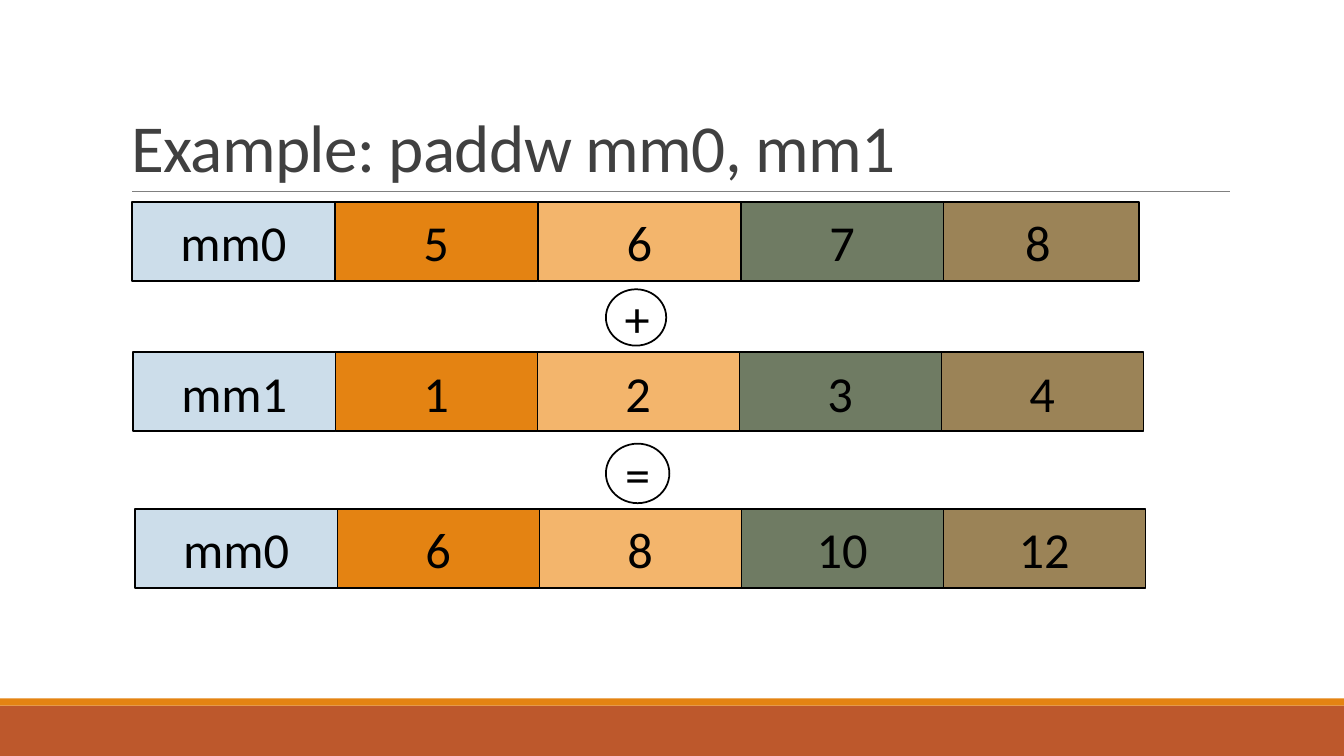
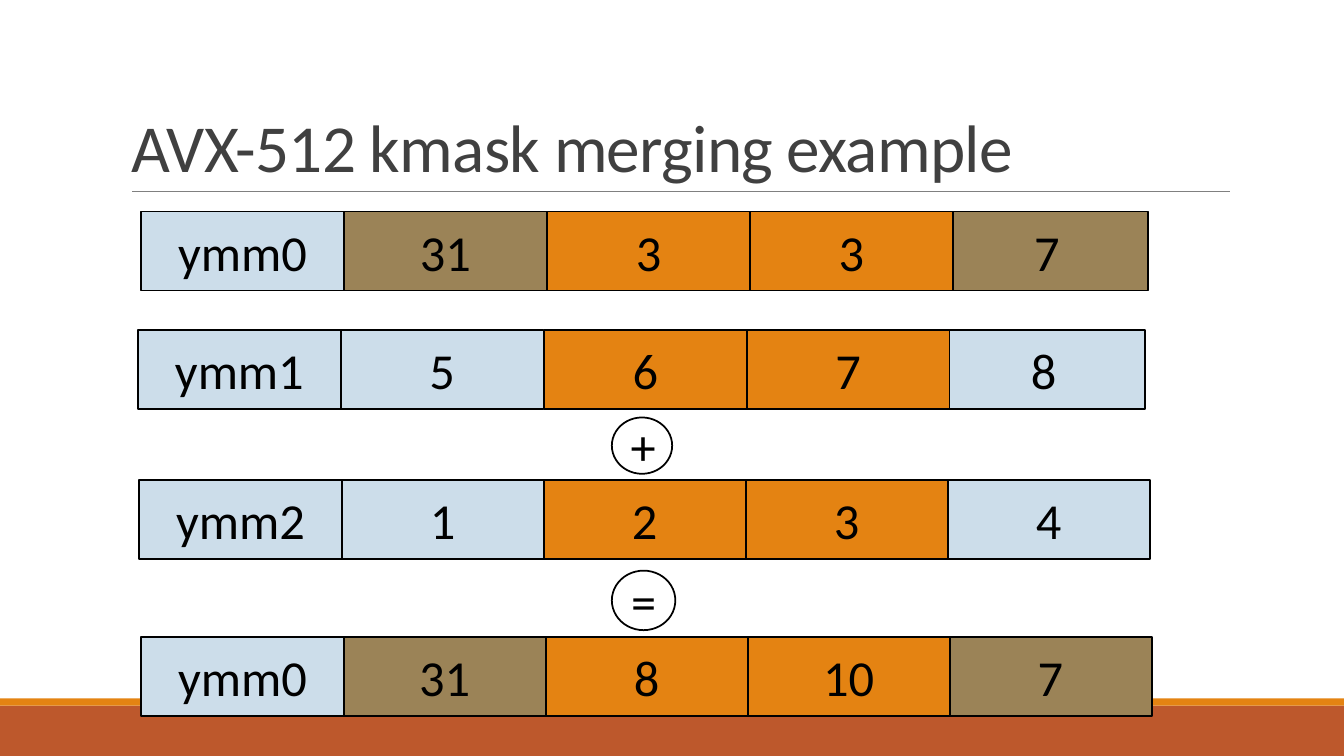
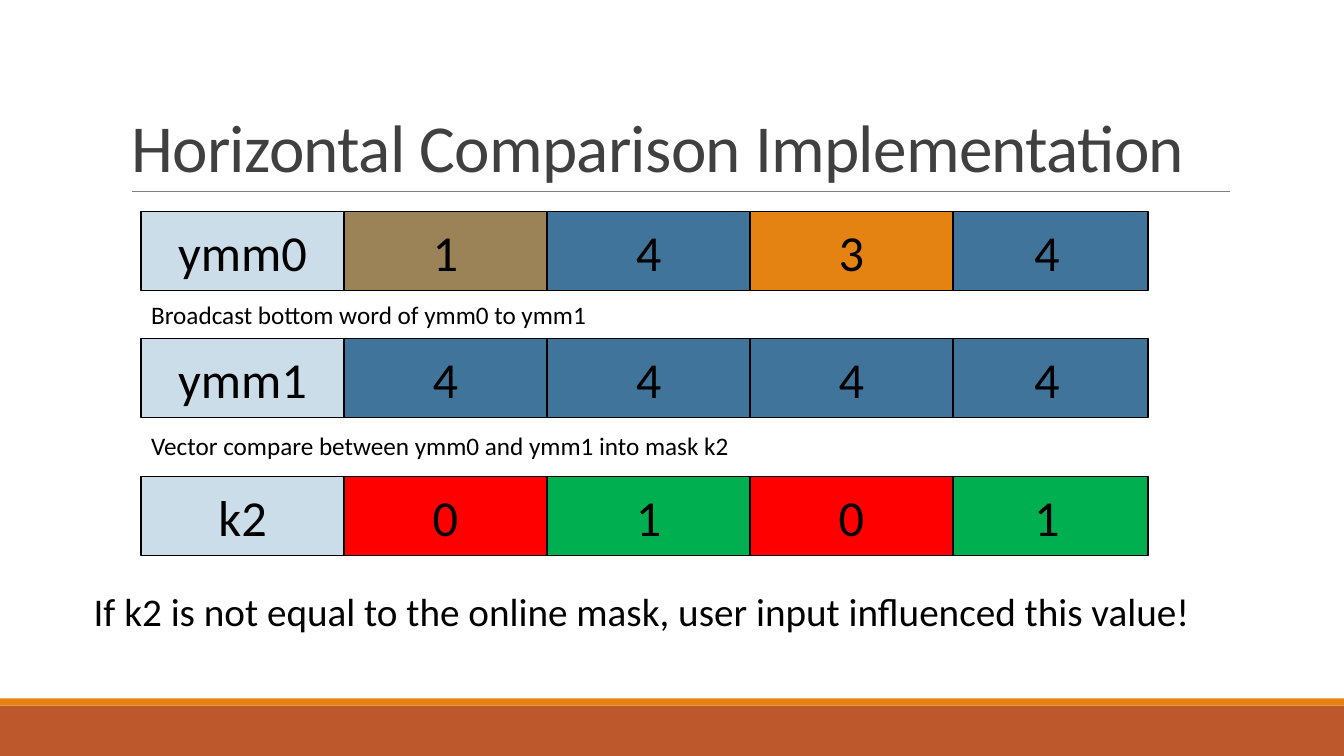
"""Build three slides that show packed register arithmetic as rows of coloured cells."""
from dataclasses import dataclass

from lxml import etree
from pptx import Presentation
from pptx import util as u
from pptx.dml.color import RGBColor
from pptx.enum import shapes, text
from pptx.oxml import ns


@dataclass(frozen=True)
class Theme:
    font: str = "Calibri"
    ink: str = "000000"
    title_ink: str = "404040"
    rule: str = "808080"
    rust: str = "BD582C"
    orange: str = "E48312"
    peach: str = "F3B56C"
    green: str = "6F7B63"
    tan: str = "9B8357"
    pale: str = "CCDDEA"
    blue: str = "40749B"
    red: str = "FF0000"
    lime: str = "00B050"
    white: str = "FFFFFF"
    title_size: float = 48
    cell_size: float = 36
    remark_size: float = 28
    caption_size: float = 18
    outline: float = 1.25


T = Theme()
CELL_WIDTH, CELL_HEIGHT = 5.11, 1.99
TIGHT = (0, 5.11, 10.23, 15.34, 20.27)
EVEN = tuple(5.09 * column for column in range(5))
OPERATOR_SIZES = {"+": (1.52, 1.42), "=": (1.6, 1.5)}

LANES = (T.pale, T.orange, T.peach, T.green, T.tan)
KEPT = (T.pale, T.tan, T.orange, T.orange, T.tan)
MASKED = (T.pale, T.pale, T.orange, T.orange, T.pale)
MIXED = (T.pale, T.tan, T.blue, T.orange, T.blue)
BROADCAST = (T.pale,) + (T.blue,) * 4
MATCHES = (T.pale,) + (T.red, T.lime) * 2

SLIDES = [
    {
        "title": "Example: paddw mm0, mm1",
        "registers": [
            (3.33, 5.09, TIGHT, LANES, ("mm0", "5", "6", "7", "8")),
            (3.35, 8.88, EVEN, LANES, ("mm1", "1", "2", "3", "4")),
            (3.4, 12.83, EVEN, LANES, ("mm0", "6", "8", "10", "12")),
        ],
        "operators": [("+", 15.27, 7.29), ("=", 15.27, 11.18)],
    },
    {
        "title": "AVX-512 kmask merging example",
        "registers": [
            (3.56, 5.33, TIGHT, KEPT, ("ymm0", "31", "3", "3", "7")),
            (3.48, 8.31, TIGHT, MASKED, ("ymm1", "5", "6", "7", "8")),
            (3.51, 12.1, EVEN, MASKED, ("ymm2", "1", "2", "3", "4")),
            (3.56, 16.05, EVEN, KEPT, ("ymm0", "31", "8", "10", "7")),
        ],
        "operators": [("+", 15.42, 10.52), ("=", 15.42, 14.38)],
    },
    {
        "title": "Horizontal Comparison Implementation",
        "registers": [
            (3.56, 5.33, TIGHT, MIXED, ("ymm0", "1", "4", "3", "4")),
            (3.56, 8.53, TIGHT, BROADCAST, ("ymm1", "4", "4", "4", "4")),
            (3.56, 12.01, TIGHT, MATCHES, ("k2", "0", "1", "0", "1")),
        ],
        "remarks": [
            ("Broadcast bottom word of ymm0 to ymm1", T.caption_size, (3.56, 7.42, 11.61, 1.02)),
            ("Vector compare between ymm0 and ymm1 into mask k2", T.caption_size, (3.56, 10.72, 15.24, 1.02)),
            ("If k2 is not equal to the online mask, user input influenced this value!",
             T.remark_size, (2.11, 14.68, 28.45, 1.45)),
        ],
    },
]


def cm(*lengths):
    return [u.Cm(length) for length in lengths]


def write(frame, words, size, colour=T.ink):
    frame.text = words
    paragraph = frame.paragraphs[0]
    paragraph.font.name = T.font
    paragraph.font.size = u.Pt(size)
    paragraph.font.color.rgb = RGBColor.from_string(colour)
    return paragraph


def add_block(slide, preset, box, fill, words="", outlined=True):
    block = slide.shapes.add_shape(preset, *cm(*box))
    block.shadow.inherit = False
    block.fill.solid()
    block.fill.fore_color.rgb = RGBColor.from_string(fill)
    if outlined:
        block.line.color.rgb = RGBColor.from_string(T.ink)
        block.line.width = u.Pt(T.outline)
    else:
        block.line.fill.background()
    if words:
        block.text_frame.vertical_anchor = text.MSO_ANCHOR.MIDDLE
        write(block.text_frame, words, T.cell_size).alignment = text.PP_ALIGN.CENTER
    return block


def furnish_layout(layout, slide):
    for placeholder in list(layout.placeholders):
        if placeholder.placeholder_format.type != shapes.PP_PLACEHOLDER.TITLE:
            layout.shapes.element.remove(placeholder.element)
    rectangle = shapes.MSO_SHAPE.RECTANGLE
    footer = add_block(slide, rectangle, (0, 17.78, 33.87, 1.27), T.rust, outlined=False)
    stripe = add_block(slide, rectangle, (0, 17.6, 33.87, 0.18), T.orange, outlined=False)
    rule = slide.shapes.add_connector(shapes.MSO_CONNECTOR.STRAIGHT, *cm(3.33, 4.83, 31, 4.83))
    rule.line.color.rgb = RGBColor.from_string(T.rule)
    rule.line.width = u.Pt(0.5)
    etree.SubElement(rule.element.spPr, ns.qn("a:effectLst"))
    for part in (footer, stripe, rule):
        layout.shapes.element.append(part.element)


def set_title(slide, words):
    title = slide.shapes.title
    title.left, title.top, title.width, title.height = cm(3.06, 0.8, 27.94, 4.03)
    frame = title.text_frame
    frame.auto_size = text.MSO_AUTO_SIZE.NONE
    frame.vertical_anchor = text.MSO_ANCHOR.BOTTOM
    heading = write(frame, words, T.title_size, T.title_ink)
    heading.alignment = text.PP_ALIGN.LEFT
    heading.line_spacing = 0.85
    heading.runs[0].font._element.set("spc", "-50")


def add_register(slide, left, top, offsets, fills, values):
    for offset, fill, value in reversed(list(zip(offsets, fills, values))):
        box = (left + offset, top, CELL_WIDTH, CELL_HEIGHT)
        add_block(slide, shapes.MSO_SHAPE.RECTANGLE, box, fill, value)


def add_remark(slide, words, size, box):
    frame = slide.shapes.add_textbox(*cm(*box)).text_frame
    frame.word_wrap = False
    frame.auto_size = text.MSO_AUTO_SIZE.SHAPE_TO_FIT_TEXT
    write(frame, words, size)


def main():
    deck = Presentation()
    deck.slide_width, deck.slide_height = cm(33.87, 19.05)
    layout = deck.slide_layouts.get_by_name("Title Only")
    for number, content in enumerate(SLIDES):
        slide = deck.slides.add_slide(layout)
        if number == 0:
            furnish_layout(layout, slide)
        set_title(slide, content["title"])
        for register in content["registers"]:
            add_register(slide, *register)
        for sign, left, top in content.get("operators", ()):
            box = (left, top, *OPERATOR_SIZES[sign])
            add_block(slide, shapes.MSO_SHAPE.OVAL, box, T.white, sign)
        for remark in content.get("remarks", ()):
            add_remark(slide, *remark)
    deck.save("out.pptx")


if __name__ == "__main__":
    main()
